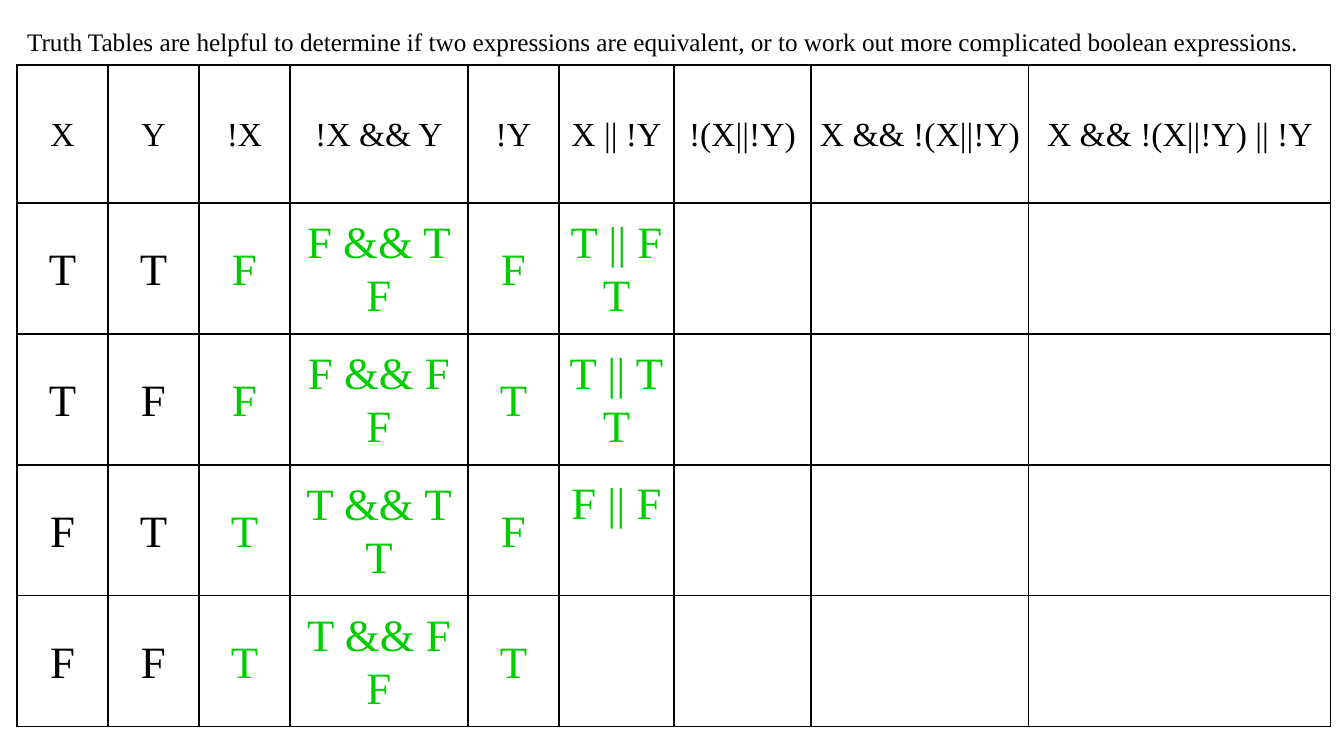
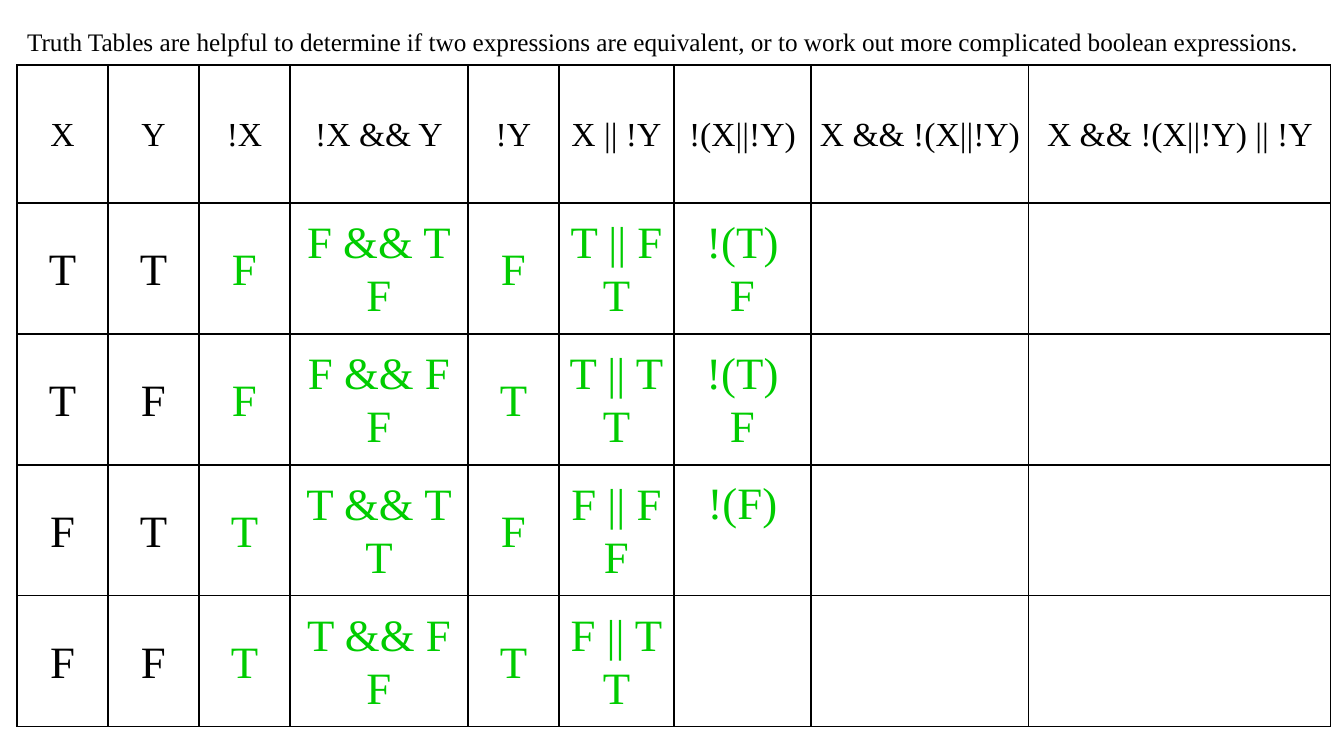
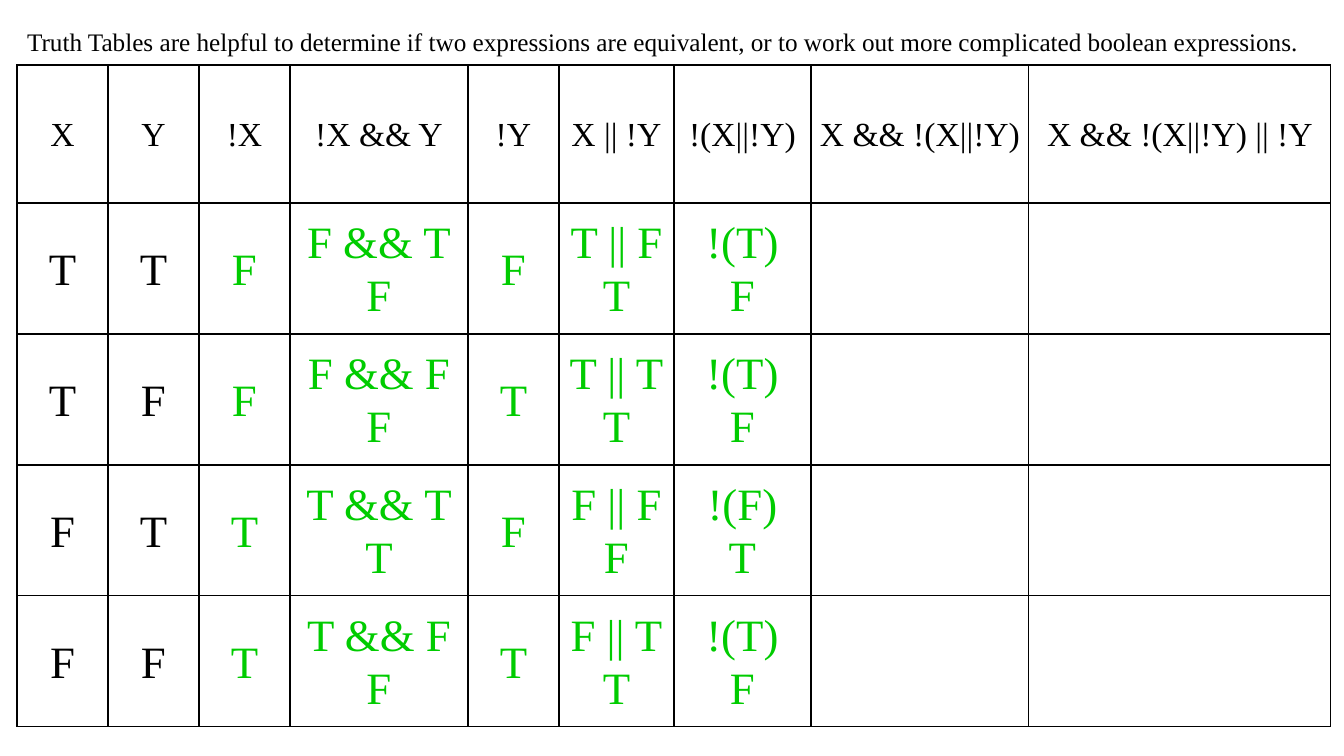
"""Build three slides that fill in a boolean truth table step by step."""
from lxml.etree import SubElement
from pptx import Presentation
from pptx.dml.color import RGBColor
from pptx.enum.text import MSO_ANCHOR as Anchor, MSO_AUTO_SIZE as AutoSize, PP_ALIGN as Align
from pptx.oxml.ns import qn
from pptx.util import Emu, Pt

CAPTION = ("Truth Tables are helpful to determine if two expressions are equivalent, "
           "or to work out more complicated boolean expressions.")
HEADERS = ["X", "Y", "!X", "!X && Y", "!Y", "X || !Y", "!(X||!Y)",
           "X && !(X||!Y)", "X && !(X||!Y) || !Y"]
ROWS = [
    ["T", "T", "F", "F && T\nF", "F", "T || F\nT", "!(T)\nF", "", ""],
    ["T", "F", "F", "F && F\nF", "T", "T || T\nT", "!(T)\nF", "", ""],
    ["F", "T", "T", "T && T\nT", "F", "F || F\nF", "!(F)\nT", "", ""],
    ["F", "F", "T", "T && F\nF", "T", "F || T\nT", "!(T)\nF", "", ""],
]
OR_COLUMN, NOT_COLUMN = 5, 6
LINES_PER_CELL = 2
SHOWN_LINES = [
    {OR_COLUMN: 5, NOT_COLUMN: 0},
    {OR_COLUMN: 8, NOT_COLUMN: 5},
    {OR_COLUMN: 8, NOT_COLUMN: 8},
]
INPUT_COLUMNS = 2

BLACK, GREEN = "000000", "00CC00"
FONT = "Times New Roman"
CAPTION_SIZE, HEADER_SIZE, VALUE_SIZE = 18, 24, 32
LINE_SPACING = 1.07
BORDER = Pt(1)

EMU_PER_PX = 914400 / 100.8
SLIDE_SIZE = (1344, 756)
CAPTION_BOX = (17, 19, 1310, 41)
TABLE_ORIGIN = (17, 65)
COLUMN_WIDTHS = [91, 91, 91, 178, 91, 115, 137, 218, 302]
ROW_HEIGHTS = [138] + [131] * len(ROWS)
CELL_INSET = 7
PENDING_LINE = 56


def px(length):
    return Emu(round(length * EMU_PER_PX))


def color(value):
    return RGBColor.from_string(value)


def set_all(target, formats):
    for name, value in formats.items():
        setattr(target, name, value)


def format_text(text_frame, size, text_color, alignment):
    for paragraph in text_frame.paragraphs:
        set_all(paragraph, {"alignment": alignment, "line_spacing": LINE_SPACING})
        set_all(paragraph.font, {"name": FONT, "size": Pt(size), "bold": False})
        paragraph.font.color.rgb = color(text_color)


def add_caption(slide):
    title = slide.shapes.title
    set_all(title, dict(zip(("left", "top", "width", "height"), map(px, CAPTION_BOX))))
    title.text_frame.text = CAPTION
    set_all(title.text_frame, {"word_wrap": True, "auto_size": AutoSize.SHAPE_TO_FIT_TEXT,
                               "vertical_anchor": Anchor.TOP})
    format_text(title.text_frame, CAPTION_SIZE, BLACK, Align.LEFT)


def add_borders(cell):
    properties = cell._tc.get_or_add_tcPr()
    for side in ("a:lnL", "a:lnR", "a:lnT", "a:lnB"):
        line = SubElement(properties, qn(side), w=str(BORDER))
        fill = SubElement(line, qn("a:solidFill"))
        SubElement(fill, qn("a:srgbClr"), val=BLACK)


def fill_cell(cell, text, size, text_color, pending=False):
    cell.text = text
    set_all(cell, {"vertical_anchor": Anchor.MIDDLE, "margin_left": px(CELL_INSET),
                   "margin_right": px(CELL_INSET), "margin_top": 0,
                   "margin_bottom": px(PENDING_LINE if pending else 0)})
    add_borders(cell)
    cell.fill.background()
    format_text(cell.text_frame, size, text_color, Align.CENTER)


def add_truth_table(slide, shown_lines):
    size = (sum(COLUMN_WIDTHS), sum(ROW_HEIGHTS))
    table = slide.shapes.add_table(len(ROW_HEIGHTS), len(HEADERS),
                                   *map(px, TABLE_ORIGIN + size)).table
    set_all(table, {"first_row": False, "horz_banding": False})
    for column, width in zip(table.columns, COLUMN_WIDTHS):
        column.width = px(width)
    for row, height in zip(table.rows, ROW_HEIGHTS):
        row.height = px(height)
    for column, header in enumerate(HEADERS):
        fill_cell(table.cell(0, column), header, HEADER_SIZE, BLACK)
    for row, values in enumerate(ROWS):
        for column, value in enumerate(values):
            lines = value.split("\n")
            total = shown_lines.get(column, LINES_PER_CELL * len(ROWS))
            shown = lines[:max(0, total - LINES_PER_CELL * row)]
            fill_cell(table.cell(row + 1, column), "\n".join(shown), VALUE_SIZE,
                      BLACK if column < INPUT_COLUMNS else GREEN,
                      pending=0 < len(shown) < len(lines))


def main():
    presentation = Presentation()
    set_all(presentation, dict(zip(("slide_width", "slide_height"), map(px, SLIDE_SIZE))))
    title_only = presentation.slide_layouts.get_by_name("Title Only")
    for shown_lines in SHOWN_LINES:
        slide = presentation.slides.add_slide(title_only)
        add_caption(slide)
        add_truth_table(slide, shown_lines)
    presentation.save("out.pptx")


if __name__ == "__main__":
    main()
